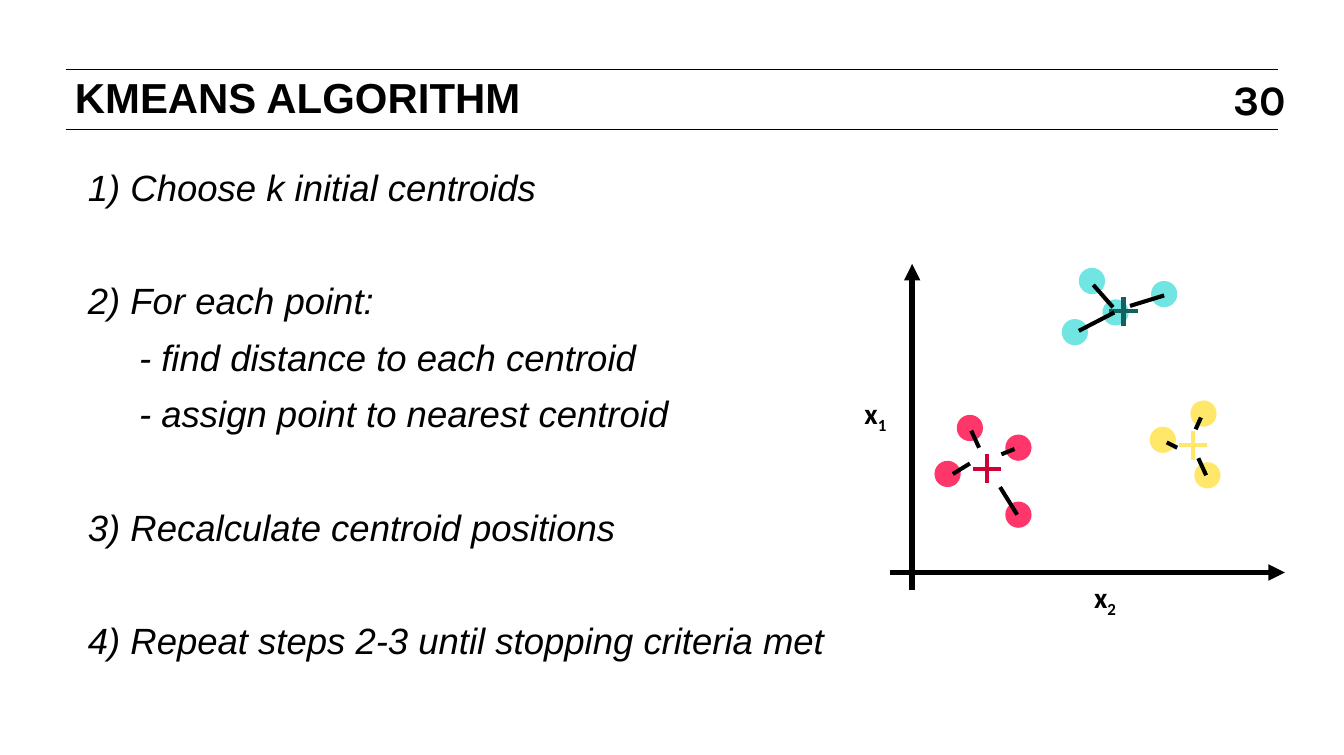
from lxml import etree
from pptx import Presentation
from pptx import util as u
from pptx.dml.color import RGBColor
from pptx.enum import shapes, text
from pptx.oxml import ns

PX = u.Inches(1) // 100

BLACK = RGBColor(0x00, 0x00, 0x00)
PINK = RGBColor(0xFF, 0x36, 0x69)
CRIMSON = RGBColor(0xCE, 0x00, 0x35)
AQUA = RGBColor(0x70, 0xE5, 0xE1)
TEAL = RGBColor(0x11, 0x61, 0x5E)
YELLOW = RGBColor(0xFF, 0xE7, 0x6A)

DOT = 20
CROSS_ARM = 11
STEP_INDENT = 39

STEPS = [
    ("1) Choose k initial centroids", 0, 0),
    ("2) For each point:", 0, 38),
    ("- find distance to each centroid", STEP_INDENT, 7),
    ("- assign point to nearest centroid", STEP_INDENT, 7),
    ("3) Recalculate centroid positions", 0, 38),
    ("4) Repeat steps 2-3 until stopping criteria met", 0, 38),
]

CLUSTERS = [
    (PINK, CRIMSON, (752, 357),
     [(729, 316), (766, 331), (712, 351), (766, 382)],
     [(726, 361, 739, 353), (763, 346, 773, 342),
      (740, 328, 746, 341), (762, 371, 775, 392)]),
    (AQUA, TEAL, (856, 237),
     [(809, 243), (840, 228), (822, 204), (877, 214)],
     [(822, 252, 849, 238), (861, 233, 887, 225), (833, 217, 848, 234)]),
    (YELLOW, YELLOW, (909, 339),
     [(907, 305), (876, 325), (910, 352)],
     [(913, 349, 919, 362), (911, 327, 915, 318), (889, 337, 897, 341)]),
]


def px(*values):
    return [v * PX for v in values]


def add_line(parent, ends, color, width, arrow=False):
    s = parent.add_connector(shapes.MSO_CONNECTOR.STRAIGHT, *px(*ends))
    s.line.color.rgb = color
    s.line.width = u.Pt(width)
    if arrow:
        etree.SubElement(s.line._get_or_add_ln(), ns.qn("a:tailEnd"), type="triangle")
    etree.SubElement(s._element.spPr, ns.qn("a:effectLst"))


def add_dot(slide, left, top, color):
    s = slide.shapes.add_shape(shapes.MSO_SHAPE.OVAL, *px(left, top, DOT, DOT))
    s.shadow.inherit = False
    s.fill.solid()
    s.fill.fore_color.rgb = color
    s.line.fill.background()


def add_cross(slide, x, y, color):
    group = slide.shapes.add_group_shape()
    add_line(group.shapes, (x - CROSS_ARM, y, x + CROSS_ARM, y), color, 2.25)
    add_line(group.shapes, (x, y - CROSS_ARM, x, y + CROSS_ARM), color, 2.25)


def add_box(slide, box, inset):
    tf = slide.shapes.add_textbox(*px(*box)).text_frame
    tf.word_wrap = True
    tf.margin_left = tf.margin_right = tf.margin_top = tf.margin_bottom = inset * PX
    return tf


def style(r, font, size, bold=False, italic=False):
    r.font.name = font
    r.font.size = u.Pt(size)
    r.font.bold = bold
    r.font.italic = italic
    r.font.color.rgb = BLACK


def add_header(slide):
    for y in (53, 99):
        add_line(slide.shapes, (50, y, 974, y), BLACK, 0.5)

    tf = add_box(slide, (935, 56, 49, 38), 0)
    tf.word_wrap = False
    tf.auto_size = text.MSO_AUTO_SIZE.SHAPE_TO_FIT_TEXT
    tf.vertical_anchor = text.MSO_ANCHOR.MIDDLE
    p = tf.paragraphs[0]
    p.text = "30"
    p.alignment = text.PP_ALIGN.CENTER
    style(p.runs[0], "Karla", 23, bold=True)

    p = add_box(slide, (51, 55, 861, 111), 6).paragraphs[0]
    p.text = "KMEANS ALGORITHM"
    p.line_spacing = u.Pt(23)
    style(p.runs[0], "Arial", 23, bold=True)


def add_steps(slide):
    tf = add_box(slide, (62, 121, 603, 396), 5)
    for i, (step, indent, before) in enumerate(STEPS):
        p = tf.add_paragraph() if i else tf.paragraphs[0]
        p.text = step
        p.line_spacing = u.Pt(24)
        p.space_before = u.Pt(before)
        if indent:
            p._p.get_or_add_pPr().set("marL", str(indent * PX))
        style(p.runs[0], "Arial", 20, italic=True)


def add_axis_label(slide, left, top, index):
    p = add_box(slide, (left, top, 44, 41), 5).paragraphs[0]
    p.alignment = text.PP_ALIGN.CENTER
    for part in ("x", index):
        r = p.add_run()
        r.text = part
        style(r, "Calibri", 16, bold=True)
    r.font._element.set("baseline", "-25000")


def add_cluster(slide, color, cross_color, centroid, dots, links):
    for left, top in dots:
        add_dot(slide, left, top, color)
    add_cross(slide, *centroid, cross_color)
    for ends in links:
        add_line(slide.shapes, ends, BLACK, 2.25)


def main():
    prs = Presentation()
    prs.slide_width, prs.slide_height = px(1024, 575)
    slide = prs.slides.add_slide(prs.slide_layouts[6])

    add_header(slide)
    add_steps(slide)
    add_line(slide.shapes, (695, 449, 695, 201), BLACK, 3, arrow=True)
    add_line(slide.shapes, (678, 436, 979, 436), BLACK, 3, arrow=True)
    for cluster in CLUSTERS:
        add_cluster(slide, *cluster)
    add_axis_label(slide, 645, 296, "1")
    add_axis_label(slide, 820, 436, "2")

    prs.save("out.pptx")


if __name__ == "__main__":
    main()
